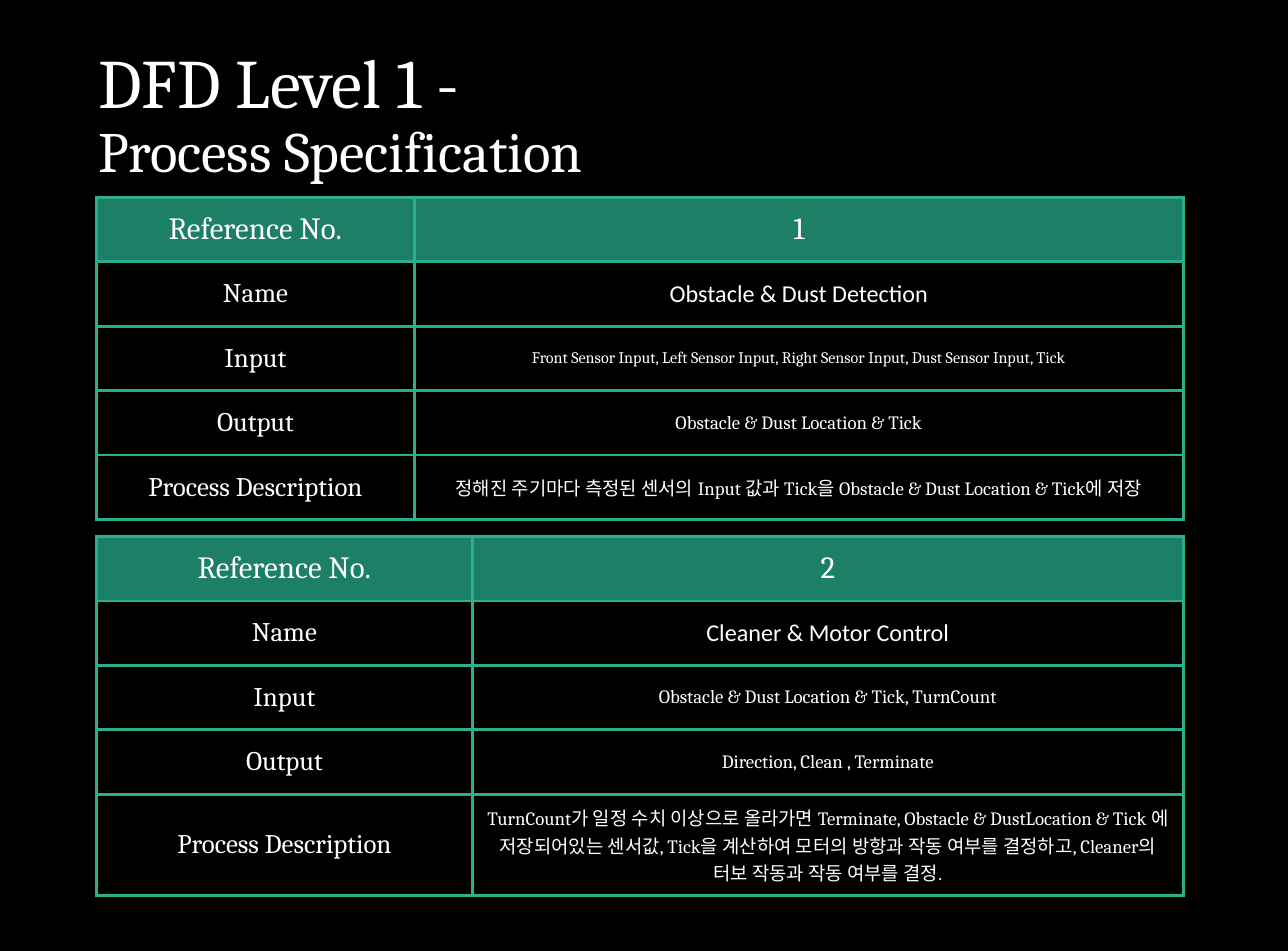
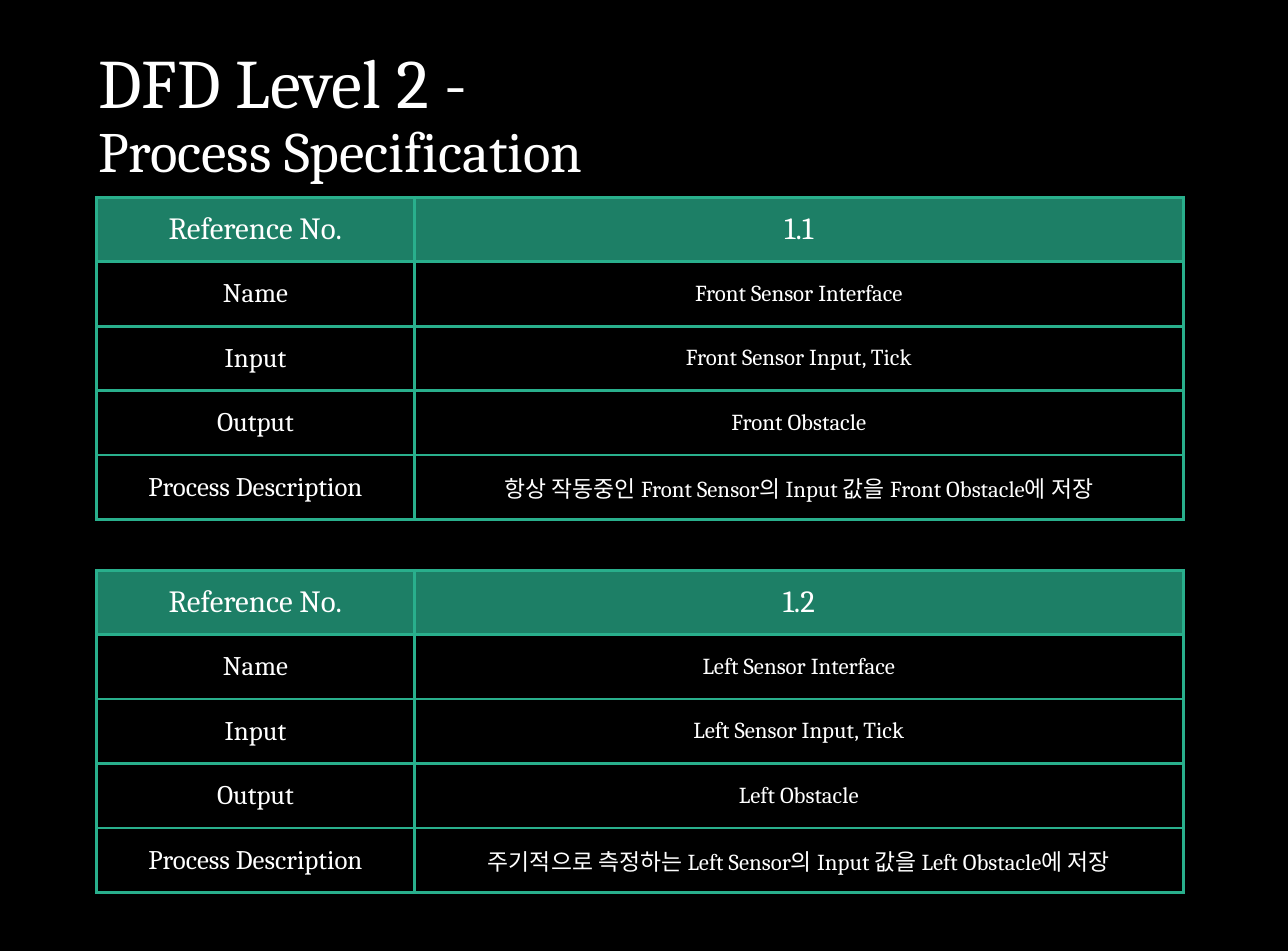
import pptx
import pptx.dml.color
import pptx.enum.text
import pptx.oxml
import pptx.oxml.ns
import pptx.util

COLORS = {"background": "000000", "text": "FFFFFF", "header": "1D7F66", "border": "29AF8C"}
SERIF, SANS = "Cambria", "Calibri"
WIDTH, HEIGHT = pptx.util.Inches(13.33), pptx.util.Inches(9.84)
COLUMN, ROW = WIDTH / 40, HEIGHT / 29.5
TITLE_BOX = (2.76, 0.78, 34.5, 5.7)
TABLE_LEFT, TABLE_WIDTH, ROW_SPAN = 3, 33.75, 2
FIRST_TOP = 6.12
LABELS = ("Reference No.", "Name", "Input", "Output", "Process Description")
HEADER_SIZE, LABEL_SIZE = 23, 20
CENTER = pptx.enum.text.PP_ALIGN.CENTER
LEFT = pptx.enum.text.PP_ALIGN.LEFT
MIDDLE = pptx.enum.text.MSO_ANCHOR.MIDDLE

SLIDES = (
    {
        "level": "DFD Level 1 -",
        "processes": (
            {
                "top": FIRST_TOP,
                "label_span": 9.87,
                "description_span": ROW_SPAN,
                "values": ("1", "Obstacle & Dust Detection",
                           "Front Sensor Input, Left Sensor Input, Right Sensor Input, Dust Sensor Input, Tick",
                           "Obstacle & Dust Location & Tick",
                           "정해진 주기마다 측정된 센서의 Input 값과 Tick을 Obstacle & Dust Location & Tick에 저장"),
                "sizes": (HEADER_SIZE, 18, 12, 14, 14),
                "name_font": SANS,
            },
            {
                "top": 16.64,
                "label_span": 11.67,
                "description_span": 3.14,
                "values": ("2", "Cleaner & Motor Control",
                           "Obstacle & Dust Location & Tick, TurnCount",
                           "Direction, Clean , Terminate",
                           "TurnCount가 일정 수치 이상으로 올라가면 Terminate, Obstacle & DustLocation & Tick "
                           "에 저장되어있는 센서값, Tick을 계산하여 모터의 방향과 작동 여부를 결정하고, "
                           "Cleaner의 터보 작동과 작동 여부를 결정."),
                "sizes": (HEADER_SIZE, 18, 14, 14, 14),
                "name_font": SANS,
            },
        ),
    },
    {
        "level": "DFD Level 2 -",
        "processes": tuple(
            {
                "top": top,
                "label_span": 9.87,
                "description_span": ROW_SPAN,
                "values": (number, f"{side} Sensor Interface", f"{side} Sensor Input, Tick",
                           f"{side} Obstacle",
                           f"{timing} {side} Sensor의 Input 값을 {side} Obstacle에 저장"),
                "sizes": (HEADER_SIZE, 17, 17, 17, 17),
                "name_font": SERIF,
            }
            for top, number, side, timing in (
                (FIRST_TOP, "1.1", "Front", "항상 작동중인"),
                (17.69, "1.2", "Left", "주기적으로 측정하는"),
            )
        ),
    },
)


def rgb(name):
    """Return a palette colour."""
    return pptx.dml.color.RGBColor.from_string(COLORS[name])


def place(left, top, width, height):
    """Turn grid columns and rows into slide lengths."""
    return (round(left * COLUMN), round(top * ROW), round(width * COLUMN), round(height * ROW))


def write(paragraph, text, *, size, font=SERIF, align=LEFT, spacing=None):
    """Write formatted text into a paragraph."""
    paragraph.alignment = align
    paragraph.line_spacing = spacing
    run = paragraph.add_run()
    run.text = text
    run.font.name = font
    run.font.size = pptx.util.Pt(size)
    run.font.bold = False
    run.font.color.rgb = rgb("text")


def add_title(slide, box, level):
    """Place the two-line title in its box."""
    frame = slide.shapes.add_textbox(*place(*box)).text_frame
    frame.word_wrap = True
    frame.vertical_anchor = MIDDLE
    write(frame.paragraphs[0], level, size=51.7, spacing=0.9)
    write(frame.add_paragraph(), "Process Specification", size=42.5, spacing=0.9)


def add_borders(cell):
    """Outline all four sides of a cell."""
    properties = cell._tc.get_or_add_tcPr()
    for side in ("lnL", "lnR", "lnT", "lnB"):
        properties.append(pptx.oxml.parse_xml(
            f'<a:{side} {pptx.oxml.ns.nsdecls("a")} w="{pptx.util.Pt(2.25)}">'
            f'<a:solidFill><a:srgbClr val="{COLORS["border"]}"/></a:solidFill></a:{side}>'))


def fill_cell(cell, text, *, header, **style):
    """Format one table cell and write its text."""
    cell.vertical_anchor = MIDDLE
    cell.margin_left = cell.margin_right = pptx.util.Inches(0.1)
    cell.margin_top = cell.margin_bottom = pptx.util.Inches(0.1)
    add_borders(cell)
    if header:
        cell.fill.solid()
        cell.fill.fore_color.rgb = rgb("header")
    else:
        cell.fill.background()
    write(cell.text_frame.paragraphs[0], text, align=CENTER, **style)


def add_specification(slide, box, process):
    """Place one process table in its box."""
    table = slide.shapes.add_table(len(LABELS), 2, *place(*box)).table
    table.horz_banding = False
    label_span = process["label_span"]
    table.columns[0].width = round(label_span * COLUMN)
    table.columns[1].width = round((box[2] - label_span) * COLUMN)
    description_span = process["description_span"]
    plain_span = (box[3] - description_span) / (len(LABELS) - 1)
    rows = zip(LABELS, process["values"], process["sizes"])
    for index, (label, value, size) in enumerate(rows):
        header = index == 0
        span = description_span if label == LABELS[-1] else plain_span
        table.rows[index].height = round(span * ROW)
        font = process["name_font"] if label == "Name" else SERIF
        fill_cell(table.cell(index, 0), label, header=header,
                  size=HEADER_SIZE if header else LABEL_SIZE)
        fill_cell(table.cell(index, 1), value, header=header, size=size, font=font)


def add_specification_slide(deck, level, processes):
    """Build a slide with a title and its process tables."""
    slide = deck.slides.add_slide(deck.slide_layouts[6])
    slide.background.fill.solid()
    slide.background.fill.fore_color.rgb = rgb("background")
    add_title(slide, TITLE_BOX, level)
    for process in processes:
        height = ROW_SPAN * (len(LABELS) - 1) + process["description_span"]
        add_specification(slide, (TABLE_LEFT, process["top"], TABLE_WIDTH, height), process)


def main():
    """Build and save the deck."""
    deck = pptx.Presentation()
    deck.slide_width, deck.slide_height = WIDTH, HEIGHT
    for content in SLIDES:
        add_specification_slide(deck, **content)
    deck.save("out.pptx")


if __name__ == "__main__":
    main()
